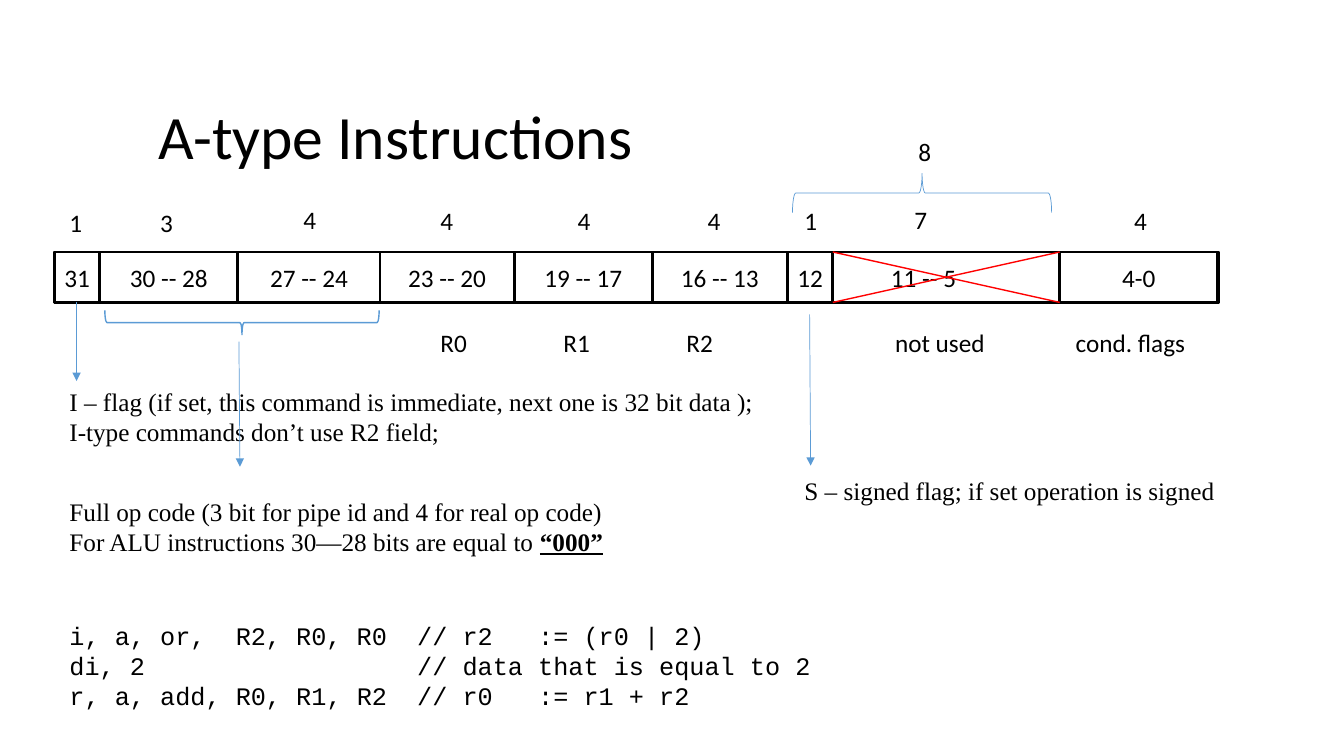
from lxml.etree import SubElement
from pptx import Presentation
from pptx.dml.color import RGBColor
from pptx.enum.shapes import MSO_CONNECTOR as LINK, MSO_SHAPE as SHAPE
from pptx.enum.text import MSO_ANCHOR as ANCHOR, PP_ALIGN as ALIGN
from pptx.oxml.ns import qn
from pptx.util import Inches, Pt

BLACK = RGBColor(0x00, 0x00, 0x00)
BLUE = RGBColor(0x5B, 0x9B, 0xD5)
RED = RGBColor(0xFF, 0x00, 0x00)
SANS, SERIF, MONO = "Calibri", "Times New Roman", "Courier New"

TOP, HIGH = 2.5, 0.5
CHAR = 0.15  # width of one code character

# Bit fields: text, left, width
FIELDS = [
    ("31", 0.54, 0.45), ("30 -- 28", 0.99, 1.37), ("27 -- 24", 2.36, 1.41),
    ("23 -- 20", 3.77, 1.33), ("19 -- 17", 5.1, 1.37),
    ("16 -- 13", 6.47, 1.34), ("11 -- 5", 7.81, 2.7),
    ("4-0", 10.51, 1.57), ("12", 7.81, 0.45),
]
# Field sizes in bits: text, left, top
SIZES = [
    ("1", 0.59, 2.01), ("3", 1.49, 2.01), ("4", 2.91, 1.98),
    ("4", 4.27, 1.99), ("4", 5.63, 1.99), ("4", 6.92, 1.99),
    ("1", 7.88, 1.99), ("7", 8.97, 1.98), ("4", 11.15, 1.99),
    ("8", 9.01, 1.3),
]


def style(para, face, size=18):
    font = para.font
    font.name, font.size = face, Pt(size)
    font.color.rgb = BLACK


def set_tabs(para, stops):
    tabs = SubElement(para._p.get_or_add_pPr(), qn("a:tabLst"))
    for stop in stops:
        SubElement(tabs, qn("a:tab"), pos=str(Inches(stop)), algn="l")


def add_text(slide, box, lines, face, size=18, stops=()):
    shape = slide.shapes.add_textbox(*map(Inches, box))
    frame = shape.text_frame
    frame.word_wrap = True
    frame.text = "\n".join(lines)
    for para in frame.paragraphs:
        if stops:
            set_tabs(para, stops)
        style(para, face, size)
    return frame


def add_shape(slide, kind, box, color, width):
    shape = slide.shapes.add_shape(kind, *map(Inches, box))
    shape.shadow.inherit = False
    shape.fill.background()
    shape.line.color.rgb = color
    shape.line.width = Pt(width)
    return shape


def add_field(slide, text, left, width):
    box = (left, TOP, width, HIGH)
    frame = add_shape(slide, SHAPE.RECTANGLE, box, BLACK, 2).text_frame
    frame.vertical_anchor = ANCHOR.MIDDLE
    frame.margin_left = frame.margin_right = 0
    frame.text = text
    para = frame.paragraphs[0]
    para.alignment = ALIGN.CENTER
    style(para, SANS)


def add_brace(slide, box, turn, width):
    shape = add_shape(slide, SHAPE.LEFT_BRACE, box, BLUE, width)
    shape.rotation = turn


def add_line(slide, start, end, color, width, arrow=False):
    line = slide.shapes.add_connector(
        LINK.STRAIGHT, *map(Inches, start + end))
    line.line.color.rgb = color
    line.line.width = Pt(width)
    if arrow:
        SubElement(line.line._get_or_add_ln(), qn("a:tailEnd"),
                   type="triangle")
    SubElement(line._element.spPr, qn("a:effectLst"))


def main():
    deck = Presentation()
    deck.slide_width, deck.slide_height = Inches(13.33), Inches(7.5)
    slide = deck.slides.add_slide(deck.slide_layouts[6])

    # Title
    title = add_text(slide, (1.47, 0.66, 11.5, 1.45),
                     ["A-type Instructions"], SANS, 44)
    title.vertical_anchor = ANCHOR.MIDDLE
    title.paragraphs[0].line_spacing = 0.9

    # Instruction word
    add_shape(slide, SHAPE.RECTANGLE, (0.54, TOP, 11.55, HIGH), BLACK, 2)
    for field in FIELDS:
        add_field(slide, *field)
    for text, left, top in SIZES:
        add_text(slide, (left, top, 0.3, 0.4), [text], SANS)
    add_text(slide, (4.27, 3.2, 7.81, 0.4),
             ["R0\tR1\tR2\tnot used\tcond. flags"], SANS,
             stops=(1.22, 2.44, 4.51, 6.3))

    # Notes on the fields
    add_text(slide, (0.59, 3.78, 8.38, 0.71), [
        "I – flag (if set, this command is immediate, "
        "next one is 32 bit data );",
        "I-type commands don’t use R2 field;"], SERIF)
    code = add_text(slide, (0.59, 4.87, 6.65, 0.71), [
        "Full op code (3 bit for pipe id and 4 for real op code)",
        "For ALU instructions 30—28 bits are equal to "], SERIF)
    run = code.paragraphs[1].add_run()
    run.text = "“000”"
    run.font.bold = run.font.underline = True
    add_text(slide, (7.88, 4.67, 4.72, 0.4),
             ["S – signed flag; if set operation is signed"], SERIF)

    # Sample code, set in columns
    add_text(slide, (0.59, 6.1, 9.64, 1.31), [
        "i, a, or,\tR2, R0, R0\t// r2\t:= (r0 | 2)",
        "di, 2\t\t// data that is equal to 2",
        "r, a, add, R0, R1, R2\t// r0\t:= r1 + r2"], MONO,
        stops=[CHAR * col for col in (11, 23, 31)])

    # Braces and arrows
    add_brace(slide, (2.28, 1.84, 0.24, 2.72), 270, 1)
    add_brace(slide, (8.95, 0.63, 0.39, 2.57), 90, 0.5)
    for start, end in (((0.76, 3), (0.76, 3.78)),
                       ((2.37, 3.39), (2.38, 4.63)),
                       ((8.03, 3.12), (8.04, 4.62))):
        add_line(slide, start, end, BLUE, 0.5, arrow=True)

    # Cross over the unused field
    low = TOP + HIGH
    add_line(slide, (8.26, TOP), (10.51, low), RED, 1)
    add_line(slide, (8.26, low), (10.51, TOP), RED, 1)

    deck.save("out.pptx")


main()
